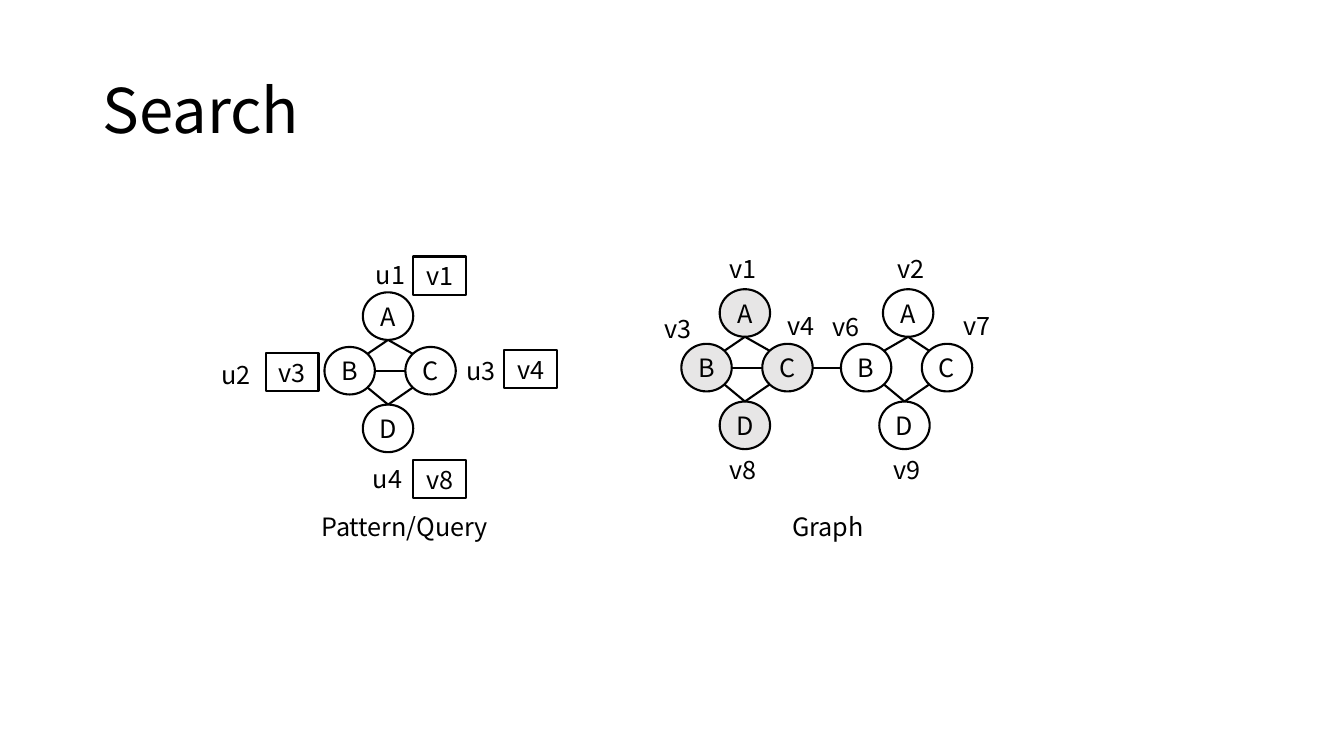
from lxml.etree import SubElement
from pptx import Presentation
from pptx.dml.color import RGBColor
from pptx.enum.shapes import MSO_CONNECTOR as Connector, MSO_SHAPE as Preset
from pptx.enum.text import MSO_ANCHOR as Anchor, PP_ALIGN as Align
from pptx.oxml.ns import qn
from pptx.util import Pt

BLACK = RGBColor(0x00, 0x00, 0x00)
WHITE = RGBColor(0xFF, 0xFF, 0xFF)
MATCHED = RGBColor(0xE7, 0xE6, 0xE6)
FONT = "Noto Sans CJK SC"
NODE_WIDTH, NODE_HEIGHT = 36, 34
LABEL_WIDTH, CAPTION_WIDTH, LABEL_HEIGHT = 44.6, 134, 29
BOX_WIDTH, BOX_HEIGHT = 37.6, 27.4
ROUND_INSET = 0.146


def write(frame, text, size=18, align=Align.LEFT):
    """Put one formatted paragraph into a text frame."""
    frame.text = text
    frame.word_wrap = True
    para = frame.paragraphs[0]
    para.alignment = align
    font = para.runs[0].font
    font.name, font.size = FONT, Pt(size)
    font.color.rgb = BLACK
    return para


def add_label(shapes, text, left, top, width=LABEL_WIDTH):
    """Add a plain text label."""
    label = shapes.add_textbox(Pt(left), Pt(top), Pt(width), Pt(LABEL_HEIGHT))
    write(label.text_frame, text)


def add_outlined(shapes, preset, text, left, top, width, height, fill):
    """Add a black-outlined shape with centred text."""
    shape = shapes.add_shape(preset, Pt(left), Pt(top), Pt(width), Pt(height))
    shape.shadow.inherit = False
    shape.fill.solid()
    shape.fill.fore_color.rgb = fill
    shape.line.color.rgb = BLACK
    shape.line.width = Pt(1.5)
    frame = shape.text_frame
    frame.margin_left = frame.margin_right = 0
    frame.vertical_anchor = Anchor.MIDDLE
    write(frame, text, align=Align.CENTER)


def add_edge(shapes, start, end):
    """Join two points with a black line."""
    points = [Pt(value) for value in (*start, *end)]
    edge = shapes.add_connector(Connector.STRAIGHT, *points)
    edge.line.color.rgb = BLACK
    edge.line.width = Pt(1.5)
    SubElement(edge._element.spPr, qn("a:effectLst"))


def add_diamond(shapes, left, top, fill, top_shift=27.4, crossbar=True):
    """Draw the four nodes A to D and the edges between them."""
    nodes = {
        "A": (left + top_shift, top),
        "C": (left + 57.8, top + 39),
        "B": (left, top + 39),
        "D": (left + 27.4, top + 80.2),
    }

    def spot(name, across, down):
        x, y = nodes[name]
        return x + across * NODE_WIDTH, y + down * NODE_HEIGHT

    for name, (x, y) in nodes.items():
        add_outlined(shapes, Preset.OVAL, name, x, y, NODE_WIDTH, NODE_HEIGHT, fill)
    for name, across in (("C", ROUND_INSET), ("B", 1 - ROUND_INSET)):
        add_edge(shapes, spot("A", 0.5, 1), spot(name, across, ROUND_INSET))
        add_edge(shapes, spot(name, across, 1 - ROUND_INSET), spot("D", 0.5, 0))
    if crossbar:
        add_edge(shapes, spot("B", 1, 0.5), spot("C", 0, 0.5))
    return spot("B", 0, 0.5), spot("C", 1, 0.5)


def add_pattern(page, left, top):
    """Draw the query pattern with its matched vertices."""
    shapes = page.shapes.add_group_shape().shapes
    add_diamond(shapes, left, top, WHITE)
    for text, x, y in (
        ("u1", 29.5, -27.4), ("u2", -80.6, 44), ("u3", 94.3, 41.2), ("u4", 27.4, 118.8),
    ):
        add_label(shapes, text, left + x, top + y)
    for text, x, y in (
        ("v1", 63.4, -25.6), ("v3", -41.8, 43.4), ("v4", 128.4, 41.2), ("v8", 63.4, 119.6),
    ):
        add_outlined(shapes, Preset.RECTANGLE, text, left + x, top + y,
                     BOX_WIDTH, BOX_HEIGHT, WHITE)
    add_label(shapes, "Pattern/Query", left - 9.4, top + 152.6, CAPTION_WIDTH)


def add_graph(page, left, top):
    """Draw the data graph of two joined diamonds."""
    shapes = page.shapes.add_group_shape().shapes
    _, matched_end = add_diamond(shapes, left, top, MATCHED)
    other_start, _ = add_diamond(shapes, left + 114, top, WHITE, 30, crossbar=False)
    add_edge(shapes, matched_end, other_start)
    for text, x, y in (
        ("v1", 27.4, -29.5), ("v2", 147, -29.5), ("v3", -19.4, 13.7), ("v4", 68.4, 11.6),
        ("v6", 100.8, 12.2), ("v7", 194.4, 11.6), ("v8", 27.4, 114.5), ("v9", 144.7, 114.5),
    ):
        add_label(shapes, text, left + x, top + y)
    add_label(shapes, "Graph", left + 72, top + 154.8, CAPTION_WIDTH)


def add_title(page, text, left, top, width, height):
    """Place and format the slide title."""
    title = page.shapes.title
    title.left, title.top = Pt(left), Pt(top)
    title.width, title.height = Pt(width), Pt(height)
    title.text_frame.vertical_anchor = Anchor.MIDDLE
    write(title.text_frame, text, 44).line_spacing = 0.9


def main():
    """Build and save the slide."""
    deck = Presentation()
    deck.slide_width, deck.slide_height = Pt(960), Pt(540)
    page = deck.slides.add_slide(deck.slide_layouts[5])
    add_title(page, "Search", 66, 28.75, 828, 104.4)
    add_graph(page, 486.7, 206.6)
    add_pattern(page, 231.8, 208.8)
    deck.save("out.pptx")


if __name__ == "__main__":
    main()
